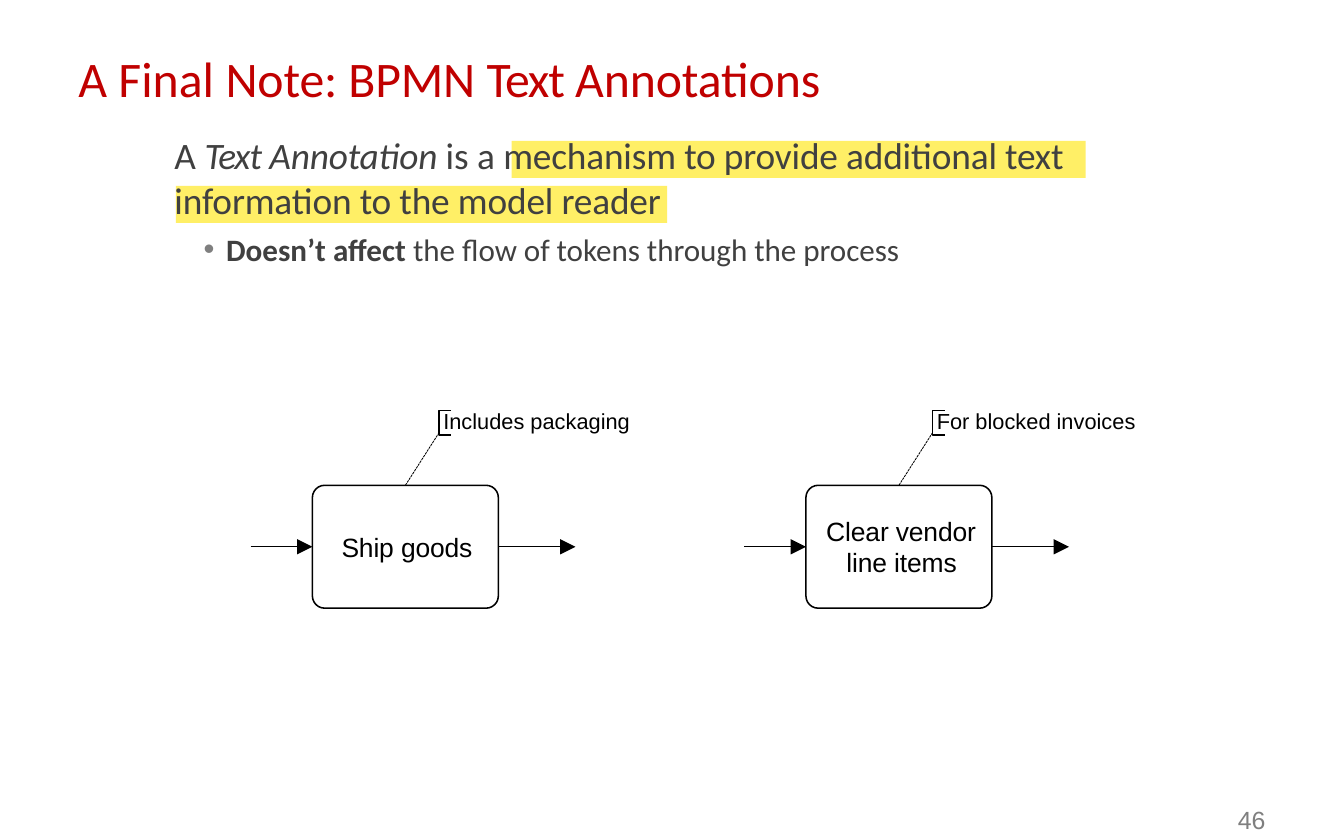
from dataclasses import dataclass

from lxml import etree
from pptx import Presentation
from pptx.dml.color import RGBColor
from pptx.enum import dml, shapes, text
from pptx.oxml import ns
from pptx.util import Cm, Pt


@dataclass(frozen=True)
class Theme:
    title: str = "C00000"
    body: str = "404040"
    grey: str = "7F7F7F"
    ink: str = "000000"
    mark: str = "FFEF66"
    sans: str = "Calibri"
    plain: str = "Arial"
    head: int = 32
    lead: int = 24
    point: int = 20
    task: int = 17
    note: int = 14
    page: int = 16
    thin: float = 0.53
    thick: float = 1


T = Theme()
TASK_W, TASK_H, TASK_Y = 4.22, 2.79, 11.02
TASKS = [  # left edge, label, label inset, hanging indent, note
    (7.09, "Ship goods", 0.58, 0, "Includes packaging"),
    (18.29, "Clear vendor line items", 0.38, 0.46, "For blocked invoices"),
]


def put(obj, values):
    for name, value in values.items():
        setattr(obj, name, value)


def sub(parent, tag, **attrs):
    return etree.SubElement(parent, ns.qn(tag), attrs)


# Text
def setup(frame, left=0, top=0.04, anchor=text.MSO_ANCHOR.TOP):
    put(frame, dict(margin_left=Cm(left), margin_top=Cm(top), margin_right=0,
                    margin_bottom=0, word_wrap=True, vertical_anchor=anchor,
                    auto_size=text.MSO_AUTO_SIZE.NONE))


def write(para, runs, face, size, color, before=0, lines=1.0, margin=0, hang=0):
    """Each run is (words, letter spacing in 1/100 pt, font values)."""
    put(para, dict(alignment=text.PP_ALIGN.LEFT, space_before=Pt(before),
                   line_spacing=lines))
    props = para._p.get_or_add_pPr()
    props.set("marL", str(Cm(margin)))
    props.set("indent", str(Cm(-hang)))
    for words, gap, style in runs:
        run = para.add_run()
        run.text = words
        put(run.font, dict(name=face, size=Pt(size), **style))
        run.font.color.rgb = RGBColor.from_string(color)
        run.font._element.set("spc", str(gap))
    return props


def place(shape, left, top, width, height):
    put(shape, dict(left=Cm(left), top=Cm(top), width=Cm(width), height=Cm(height)))


def label(slide, left, top, width, height, words, size, color, before):
    box = slide.shapes.add_textbox(Cm(left), Cm(top), Cm(width), Cm(height))
    setup(box.text_frame)
    write(box.text_frame.paragraphs[0], [(words, 0, {})], T.plain, size, color, before)


# Lines and shapes
def ink(line, width):
    line.color.rgb = RGBColor.from_string(T.ink)
    line.width = Pt(width)


def link(slide, x1, y1, x2, y2, dashed=False):
    line = slide.shapes.add_connector(
        shapes.MSO_CONNECTOR.STRAIGHT, Cm(x1), Cm(y1), Cm(x2), Cm(y2))
    ink(line.line, T.thin)
    if dashed:
        line.line.dash_style = dml.MSO_LINE.SQUARE_DOT
    else:
        sub(line.line._get_or_add_ln(), "a:tailEnd", type="triangle", w="lg", len="lg")
    sub(line._element.spPr, "a:effectLst")


def bracket(slide, left, top, width, height):
    right, low = left + width, top + height
    start, *rest = [(Cm(x), Cm(y)) for x, y in
                    [(right, top), (left, top), (left, low), (right, low)]]
    pen = slide.shapes.build_freeform(*start)
    pen.add_line_segments(rest, close=False)
    shape = pen.convert_to_shape()
    shape.shadow.inherit = False
    shape.fill.background()
    ink(shape.line, T.thick)


def mark(slide, body, left, top, width, height):
    bar = slide.shapes.add_shape(
        shapes.MSO_SHAPE.RECTANGLE, Cm(left), Cm(top), Cm(width), Cm(height))
    bar.shadow.inherit = False
    bar.fill.solid()
    bar.fill.fore_color.rgb = RGBColor.from_string(T.mark)
    bar.line.fill.background()
    body.element.addprevious(bar.element)


def task(slide, left, words, inset, hang, note):
    box = slide.shapes.add_shape(
        shapes.MSO_SHAPE.ROUNDED_RECTANGLE, Cm(left), Cm(TASK_Y), Cm(TASK_W), Cm(TASK_H))
    box.adjustments[0] = 0.1
    box.shadow.inherit = False
    box.fill.background()
    ink(box.line, T.thick)
    setup(box.text_frame, inset, 0, text.MSO_ANCHOR.MIDDLE)
    write(box.text_frame.paragraphs[0], [(words, -10, {})], T.plain, T.task, T.ink,
          lines=Pt(20.2), margin=hang, hang=hang)

    # Flow in and out
    mid, right = TASK_Y + TASK_H / 2, left + TASK_W
    link(slide, left - 1.4, mid, left, mid)
    link(slide, right, mid, right + 1.75, mid)

    # Annotation
    edge = left + 2.87
    link(slide, left + TASK_W / 2, TASK_Y, edge, 9.83, dashed=True)
    bracket(slide, edge, 9.32, 0.28, 0.56)
    label(slide, edge + 0.1, 9.22, 4.6, 0.69, note, T.note, T.ink, 1.3)


def main():
    deck = Presentation()
    put(deck, dict(slide_width=Cm(30.5), slide_height=Cm(19.05)))
    slide = deck.slides.add_slide(deck.slide_layouts[1])
    title, body = slide.placeholders

    # Title
    place(title, 1.78, 1.04, 17.09, 1.42)
    setup(title.text_frame)
    write(title.text_frame.paragraphs[0],
          [("A Final ", 0, {}), ("Note: BPMN ", -10, {}), ("Text ", -80, {}),
           ("Annotations", -10, {})], T.sans, T.head, T.title, 1)

    # Definition and its bullet
    place(body, 3.96, 2.95, 20.52, 3.15)
    setup(body.text_frame)
    lead = write(
        body.text_frame.paragraphs[0],
        [("A ", 0, {}), ("Text ", -70, {"italic": True}),
         ("Annotation ", -10, {"italic": True}), ("is a ", -5, {}),
         ("mechanism to provide additional text information to the model reader",
          -10, {})], T.sans, T.lead, T.body, 0.8, 1.01)
    sub(lead, "a:buNone")
    point = write(
        body.text_frame.add_paragraph(),
        [("Doesn’t affect ", 0, {"bold": True}),
         ("the flow of tokens through the process", -7, {})],
        T.sans, T.point, T.body, 5.2, margin=1.17, hang=0.51)
    sub(sub(point, "a:buClr"), "a:srgbClr", val=T.grey)
    sub(point, "a:buChar", char="•")

    # Highlights behind the definition
    mark(slide, body, 11.61, 3.2, 13.03, 0.84)
    mark(slide, body, 3.99, 4.22, 11.15, 0.84)

    # Annotated tasks
    for item in TASKS:
        task(slide, *item)

    # Page number
    label(slide, 28.09, 18.24, 0.84, 0.76, "46", T.page, T.grey, 1.2)
    deck.save("out.pptx")


if __name__ == "__main__":
    main()
